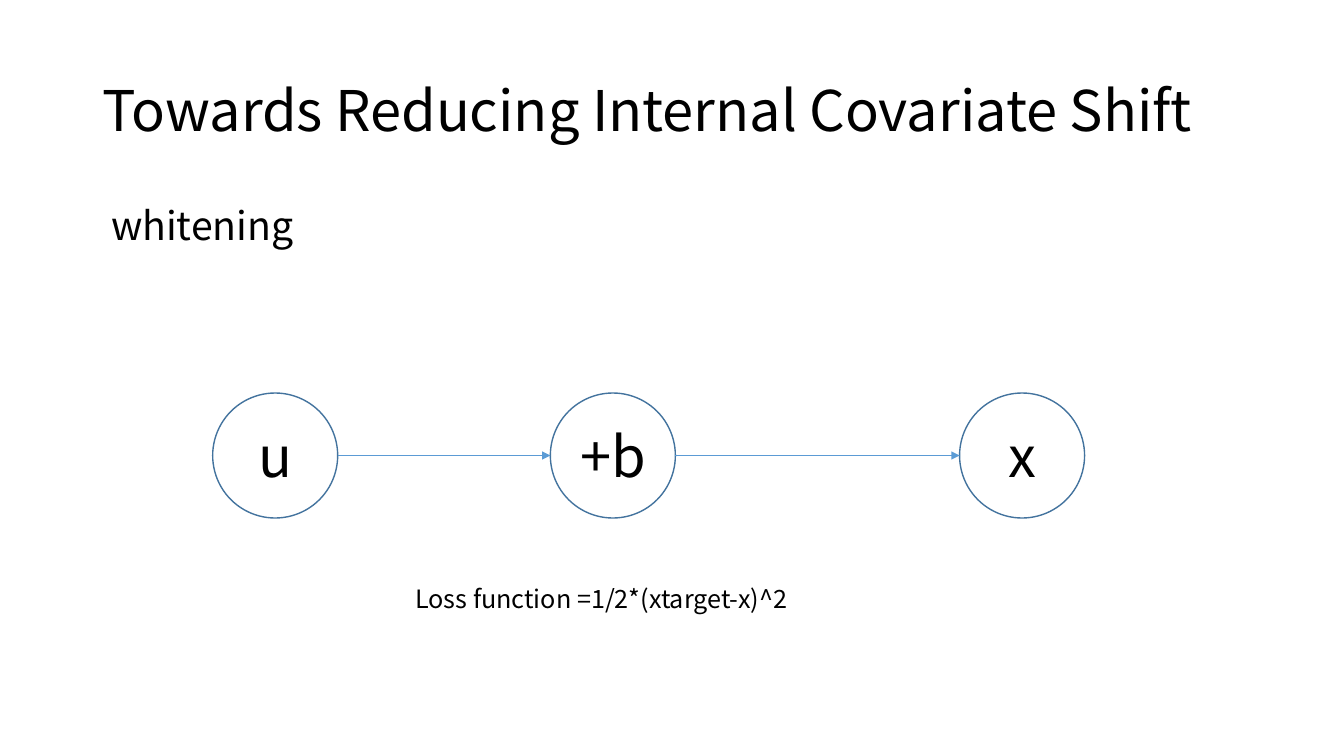
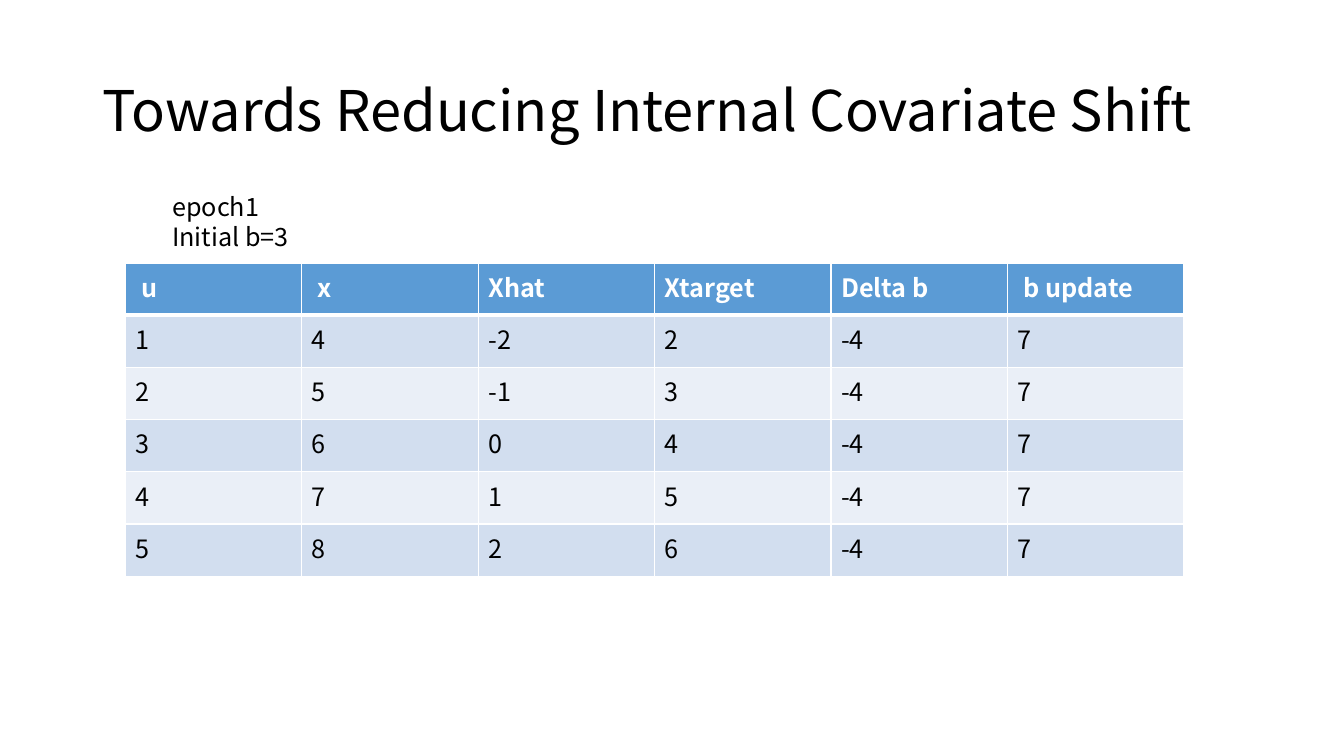
from dataclasses import dataclass
from itertools import pairwise

from lxml import etree
from pptx import Presentation
from pptx.dml.color import RGBColor
from pptx.enum.shapes import MSO_CONNECTOR, MSO_SHAPE
from pptx.enum.text import MSO_ANCHOR, PP_ALIGN
from pptx.oxml.ns import qn
from pptx.util import Pt

OVAL = MSO_SHAPE.OVAL
STRAIGHT = MSO_CONNECTOR.STRAIGHT
TOP, MIDDLE = MSO_ANCHOR.TOP, MSO_ANCHOR.MIDDLE
LEFT, CENTER = PP_ALIGN.LEFT, PP_ALIGN.CENTER


@dataclass(frozen=True)
class Theme:
    font: str = "Noto Sans CJK KR"
    ink: str = "000000"
    white: str = "FFFFFF"
    accent: str = "5B9BD5"
    outline: str = "43739E"
    bands: tuple = ("D2DEEF", "EAEFF7")
    title_size: int = 40
    body_size: int = 28
    small_size: int = 18


THEME = Theme()
TITLE = "Towards Reducing Internal Covariate Shift"


def write_text(frame, text, size=THEME.small_size, color=THEME.ink, bold=False,
               align=LEFT, line_spacing=None, space_before=None):
    for index, line in enumerate(text.split("\n")):
        paragraph = frame.paragraphs[0] if index == 0 else frame.add_paragraph()
        paragraph.alignment = align
        paragraph.line_spacing = line_spacing
        if space_before is not None:
            paragraph.space_before = Pt(space_before)
        run = paragraph.add_run()
        run.text = line
        run.font.name = THEME.font
        run.font.size = Pt(size)
        run.font.bold = bold
        run.font.color.rgb = RGBColor.from_string(color)


class Deck:
    def __init__(self, theme):
        self.theme = theme
        self.presentation = Presentation()
        self.presentation.slide_width = Pt(960)
        self.presentation.slide_height = Pt(540)
        self.slide = None

    def add_slide(self, title):
        self.slide = self.presentation.slides.add_slide(self.presentation.slide_layouts[6])
        self.text_box(title, 66, 28.8, 828, 104.4, anchor=MIDDLE,
                      size=self.theme.title_size, line_spacing=0.9)

    def text_box(self, text, left, top, width, height, anchor=TOP, **text_format):
        shape = self.slide.shapes.add_textbox(Pt(left), Pt(top), Pt(width), Pt(height))
        frame = shape.text_frame
        frame.word_wrap = True
        frame.vertical_anchor = anchor
        write_text(frame, text, **text_format)

    def node(self, label, center_x, center_y, diameter):
        shape = self.slide.shapes.add_shape(
            OVAL, Pt(center_x - diameter / 2), Pt(center_y - diameter / 2),
            Pt(diameter), Pt(diameter))
        shape.shadow.inherit = False
        shape.fill.background()
        shape.line.color.rgb = RGBColor.from_string(self.theme.outline)
        shape.line.width = Pt(1)
        frame = shape.text_frame
        frame.word_wrap = False
        frame.vertical_anchor = MIDDLE
        write_text(frame, label, size=self.theme.title_size, align=CENTER)

    def arrow(self, start_x, end_x, y):
        connector = self.slide.shapes.add_connector(
            STRAIGHT, Pt(start_x), Pt(y), Pt(end_x), Pt(y))
        connector.line.color.rgb = RGBColor.from_string(self.theme.accent)
        connector.line.width = Pt(0.5)
        etree.SubElement(connector.line._get_or_add_ln(), qn("a:tailEnd"), type="triangle")
        etree.SubElement(connector._element.spPr, qn("a:effectLst"))

    def cell_borders(self, cell, widths):
        properties = cell._tc.get_or_add_tcPr()
        for side, width in widths.items():
            border = etree.SubElement(properties, qn(f"a:ln{side}"), w=str(Pt(width)))
            fill = etree.SubElement(border, qn("a:solidFill"))
            etree.SubElement(fill, qn("a:srgbClr"), val=self.theme.white)

    def table(self, rows, left, top, column_width, row_height):
        column_count = len(rows[0])
        table = self.slide.shapes.add_table(
            len(rows), column_count, Pt(left), Pt(top),
            Pt(column_width * column_count), Pt(row_height * len(rows))).table
        table.first_row = False
        table.horz_banding = False
        for row_index, values in enumerate(rows):
            header = row_index == 0
            fill = self.theme.accent if header else self.theme.bands[(row_index - 1) % 2]
            widths = {"L": 1, "R": 1, "T": 3 if row_index == 1 else 1, "B": 3 if header else 1}
            for column_index, value in enumerate(values):
                cell = table.cell(row_index, column_index)
                self.cell_borders(cell, widths)
                cell.fill.solid()
                cell.fill.fore_color.rgb = RGBColor.from_string(fill)
                write_text(cell.text_frame, str(value), bold=header,
                           color=self.theme.white if header else self.theme.ink)

    def save(self):
        self.presentation.save("out.pptx")


def build_whitening(deck):
    deck.add_slide(TITLE)
    center_y, diameter = 325.4, 89.3
    nodes = {"u": 196.6, "+b": 437.8, "x": 730.1}
    for label, center_x in nodes.items():
        deck.node(label, center_x, center_y, diameter)
    for start, end in pairwise(nodes.values()):
        deck.arrow(start + diameter / 2, end - diameter / 2, center_y)
    deck.text_box("Loss function =1/2*(xtarget-x)^2", 289.5, 413.3, 329, 28.8)
    deck.text_box(" whitening", 66, 144, 828, 342.7, size=THEME.body_size,
                  line_spacing=0.9, space_before=10)


def build_epoch(deck):
    deck.add_slide(TITLE)
    header = [" u", " x", "Xhat", "Xtarget", "Delta b", " b update"]
    values = [[1, 4, -2, 2, -4, 7],
              [2, 5, -1, 3, -4, 7],
              [3, 6, 0, 4, -4, 7],
              [4, 7, 1, 5, -4, 7],
              [5, 8, 2, 6, -4, 7]]
    deck.table([header, *values], 89.6, 187.9, 126, 37.3)
    deck.text_box("epoch1\nInitial b=3", 115.9, 133.2, 120, 72.7)


def main():
    deck = Deck(THEME)
    build_whitening(deck)
    build_epoch(deck)
    deck.save()


if __name__ == "__main__":
    main()
